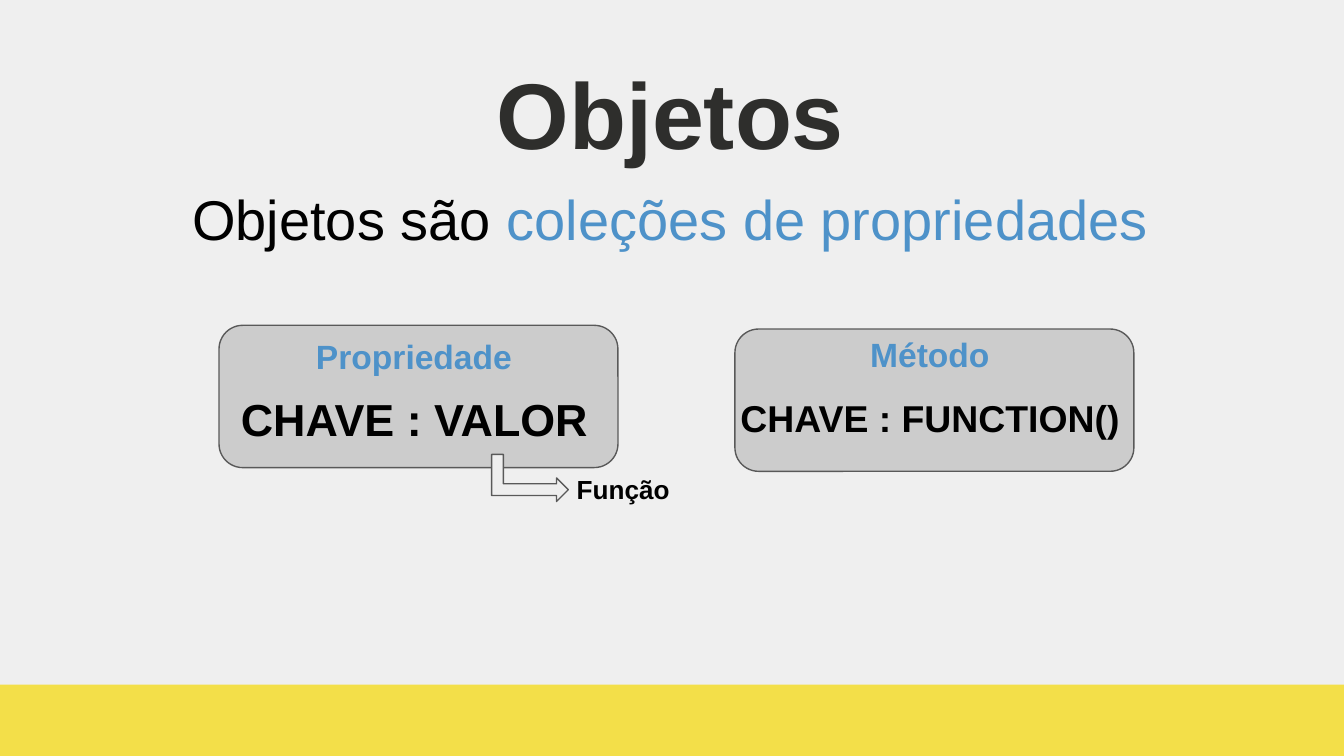
from dataclasses import dataclass

import pptx
import pptx.dml.color
import pptx.enum.shapes
import pptx.enum.text
import pptx.util
from pptx.util import Cm

SHAPES = pptx.enum.shapes.MSO_SHAPE
ALIGN = pptx.enum.text.PP_ALIGN
ANCHOR = pptx.enum.text.MSO_ANCHOR


@dataclass(frozen=True)
class Theme:
    font: str = "Arial"
    background: str = "EFEFEF"
    band: str = "F3DF49"
    heading: str = "2E2E2C"
    text: str = "000000"
    accent: str = "4E92C9"
    card: str = "CCCCCC"
    arrow: str = "EEEEEE"
    outline: str = "595959"
    outline_width: float = 0.75
    heading_size: int = 50
    subtitle_size: int = 30
    pair_size: int = 24
    long_pair_size: int = 20
    label_size: int = 18
    note_size: int = 14


THEME = Theme()


def rgb(color):
    return pptx.dml.color.RGBColor.from_string(color)


def add_text(slide, box, runs, size, bold=True, align=ALIGN.CENTER,
             anchor=ANCHOR.TOP, line_spacing=None):
    """Place one paragraph of (text, color) runs in a box given in cm."""
    frame = slide.shapes.add_textbox(*map(Cm, box)).text_frame
    frame.word_wrap = True
    frame.vertical_anchor = anchor
    frame.margin_left = frame.margin_right = Cm(0.25)
    frame.margin_top = frame.margin_bottom = Cm(0.25)
    paragraph = frame.paragraphs[0]
    paragraph.alignment = align
    if line_spacing:
        paragraph.line_spacing = line_spacing
    for text, color in runs:
        run = paragraph.add_run()
        run.text = text
        run.font.name = THEME.font
        run.font.size = pptx.util.Pt(size)
        run.font.bold = bold
        run.font.color.rgb = rgb(color)


def add_filled_shape(slide, kind, box, fill, outlined=True):
    shape = slide.shapes.add_shape(kind, *map(Cm, box))
    shape.shadow.inherit = False
    shape.fill.solid()
    shape.fill.fore_color.rgb = rgb(fill)
    if outlined:
        shape.line.color.rgb = rgb(THEME.outline)
        shape.line.width = pptx.util.Pt(THEME.outline_width)
    else:
        shape.line.fill.background()
    return shape


def add_header(slide, box):
    left, top, width, height = box
    add_text(slide, (left, top, width, 2.51), [("Objetos", THEME.heading)],
             THEME.heading_size, anchor=ANCHOR.MIDDLE, line_spacing=0.8)
    add_text(slide, (left + 1.12, top + height - 1.22, width - 2.26, 1.22),
             [("Objetos são ", THEME.text),
              ("coleções de propriedades", THEME.accent)],
             THEME.subtitle_size, bold=False)


def add_card(slide, box, label, label_top, pair, pair_size):
    """Draw a rounded card with a label above a key and value pair."""
    left, top, width, height = box
    add_filled_shape(slide, SHAPES.ROUNDED_RECTANGLE, box, THEME.card)
    add_text(slide, (left - 0.48, top + 1, width + 0.8, 1.22),
             [(pair, THEME.text)], pair_size)
    add_text(slide, (left + 0.36, top + label_top, width - 0.89, 1.04),
             [(label, THEME.accent)], THEME.label_size)


def add_function_note(slide, box):
    """Draw a bent arrow that turns right towards its note."""
    left, top, width, height = box
    length, thickness = 1.45, 0.89
    # The arrow is turned a quarter about its centre, so its sides swap.
    inset = (length - thickness) / 2
    arrow = add_filled_shape(slide, SHAPES.BENT_UP_ARROW,
                             (left + inset, top - inset, thickness, length),
                             THEME.arrow)
    arrow.rotation = 90
    add_text(slide, (left + width - 2.41, top + height - 0.69, 2.41, 0.69),
             [("Função", THEME.text)], THEME.note_size, align=ALIGN.LEFT)


def main():
    presentation = pptx.Presentation()
    presentation.slide_width = Cm(25.4)
    presentation.slide_height = Cm(14.29)
    slide = presentation.slides.add_slide(presentation.slide_layouts[6])
    slide.background.fill.solid()
    slide.background.fill.fore_color.rgb = rgb(THEME.background)

    add_filled_shape(slide, SHAPES.RECTANGLE, (0, 12.94, 25.4, 1.35),
                     THEME.band, outlined=False)
    add_header(slide, (1.5, 1.07, 22.35, 3.38))
    add_card(slide, (4.14, 6.15, 7.54, 2.69), "Propriedade", -0.05,
             "CHAVE : VALOR", THEME.pair_size)
    add_function_note(slide, (9.29, 8.59, 3.77, 0.79))
    add_card(slide, (13.89, 6.22, 7.54, 2.69), "Método", -0.15,
             "CHAVE : FUNCTION()", THEME.long_pair_size)
    presentation.save("out.pptx")


if __name__ == "__main__":
    main()
